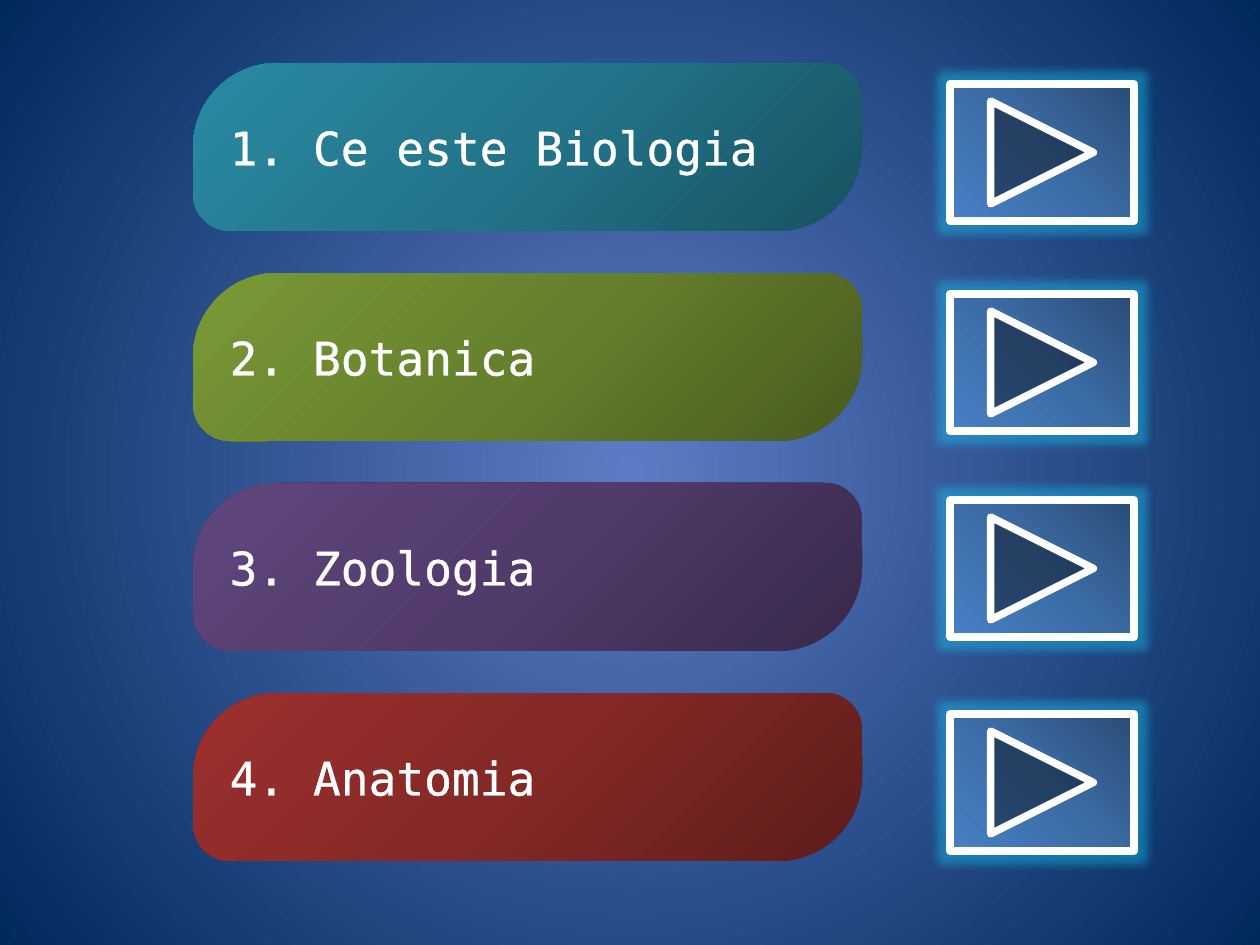
from lxml.etree import SubElement
from pptx import Presentation
from pptx.dml.color import RGBColor
from pptx.enum.shapes import MSO_SHAPE
from pptx.enum.text import MSO_ANCHOR, PP_ALIGN
from pptx.oxml import parse_xml
from pptx.oxml.ns import nsdecls, qn
from pptx.util import Emu, Pt

PX = 10160
FONT = "DejaVu Sans Mono"
WHITE = RGBColor(0xFF, 0xFF, 0xFF)
GLOW = RGBColor(0x14, 0xCD, 0xFA)
BACKGROUND = [RGBColor(0x5E, 0x7C, 0xC5), RGBColor(0x00, 0x29, 0x5C)]
BUTTON = [RGBColor(0x2A, 0x4C, 0x75), RGBColor(0x3C, 0x6C, 0xA6), RGBColor(0x47, 0x80, 0xC5)]
TEAL = [RGBColor(0x18, 0x52, 0x61), RGBColor(0x23, 0x74, 0x8A), RGBColor(0x29, 0x8A, 0xA3)]
GREEN = [RGBColor(0x48, 0x5B, 0x20), RGBColor(0x66, 0x81, 0x2D), RGBColor(0x79, 0x99, 0x36)]
PURPLE = [RGBColor(0x39, 0x29, 0x4B), RGBColor(0x51, 0x3B, 0x6B), RGBColor(0x60, 0x46, 0x7E)]
RED = [RGBColor(0x5D, 0x1D, 0x1B), RGBColor(0x84, 0x29, 0x26), RGBColor(0x9C, 0x30, 0x2E)]

TOPICS = [
    ("1. Ce este Biologia", TEAL, 21),
    ("2. Botanica", GREEN, 21),
    ("3. Zoologia", PURPLE, 17),
    ("4. Anatomia", RED, 21),
]
RADIAL = (
    '<a:path path="circle"><a:fillToRect l="50000" t="50000" r="50000" b="50000"/></a:path>'
)


def px(length):
    return Emu(length * PX)


def linear(degrees):
    return f'<a:lin ang="{degrees * 60000}" scaled="0"/>'


def set_gradient(fill, parent, colors, direction):
    fill.solid()
    step = 100000 // (len(colors) - 1)
    stops = "".join(
        f'<a:gs pos="{index * step}"><a:srgbClr val="{color}"/></a:gs>'
        for index, color in enumerate(colors)
    )
    gradient = parse_xml(
        f'<a:gradFill {nsdecls("a")} rotWithShape="1">'
        f"<a:gsLst>{stops}</a:gsLst>{direction}</a:gradFill>"
    )
    parent.replace(parent.find(qn("a:solidFill")), gradient)


def add_glow(shape, radius, color, opacity):
    effects = shape.element.spPr.find(qn("a:effectLst"))
    glow = SubElement(effects, qn("a:glow"), rad=str(px(radius)))
    tint = SubElement(glow, qn("a:srgbClr"), val=str(color))
    SubElement(tint, qn("a:alpha"), val=str(opacity * 1000))


def outline_text(run, color, width):
    outline = parse_xml(
        f'<a:ln {nsdecls("a")} w="{Pt(width)}">'
        f'<a:solidFill><a:srgbClr val="{color}"/></a:solidFill></a:ln>'
    )
    run.font.element.insert(0, outline) if hasattr(run.font, "element") else run._r.get_or_add_rPr().insert(0, outline)


def add_gradient_shape(slide, preset, box, colors, degrees):
    shape = slide.shapes.add_shape(preset, *map(px, box))
    shape.shadow.inherit = False
    set_gradient(shape.fill, shape.element.spPr, colors, linear(degrees))
    return shape


def add_topic_card(slide, box, label, colors):
    card = add_gradient_shape(
        slide, MSO_SHAPE.ROUND_2_DIAG_RECTANGLE, box, colors, 225
    )
    card.adjustments[0] = 0.5
    card.adjustments[1] = 0.22
    card.line.fill.background()
    frame = card.text_frame
    frame.word_wrap = True
    frame.vertical_anchor = MSO_ANCHOR.MIDDLE
    frame.margin_left = frame.margin_right = px(12)
    frame.margin_top = frame.margin_bottom = px(6)
    frame.text = label
    paragraph = frame.paragraphs[0]
    paragraph.alignment = PP_ALIGN.LEFT
    run = paragraph.runs[0]
    run.font.name = FONT
    run.font.size = Pt(37)
    run.font.color.rgb = WHITE
    outline_text(run, WHITE, 1.45)


def add_next_button(slide, box):
    button = add_gradient_shape(
        slide, MSO_SHAPE.ACTION_BUTTON_FORWARD_OR_NEXT, box, BUTTON, 135
    )
    button.line.color.rgb = WHITE
    button.line.width = Pt(6)
    add_glow(button, 18, GLOW, 40)


def add_topic_menu(slide, left, top, pitch):
    for index, (label, colors, _) in enumerate(TOPICS):
        add_topic_card(slide, (left, top + index * pitch, 669, 168), label, colors)
    for index, (_, _, button_drop) in enumerate(TOPICS):
        button_top = top + index * pitch + button_drop
        add_next_button(slide, (left + 757, button_top, 184, 137))


def main():
    presentation = Presentation()
    presentation.slide_width = px(1260)
    presentation.slide_height = px(945)
    slide = presentation.slides.add_slide(presentation.slide_layouts[6])
    background = slide.background.fill
    background.solid()
    backdrop = next(slide.element.iter(qn("p:bgPr")))
    set_gradient(background, backdrop, BACKGROUND, RADIAL)
    add_topic_menu(slide, 193, 63, 210)
    presentation.save("out.pptx")


if __name__ == "__main__":
    main()
